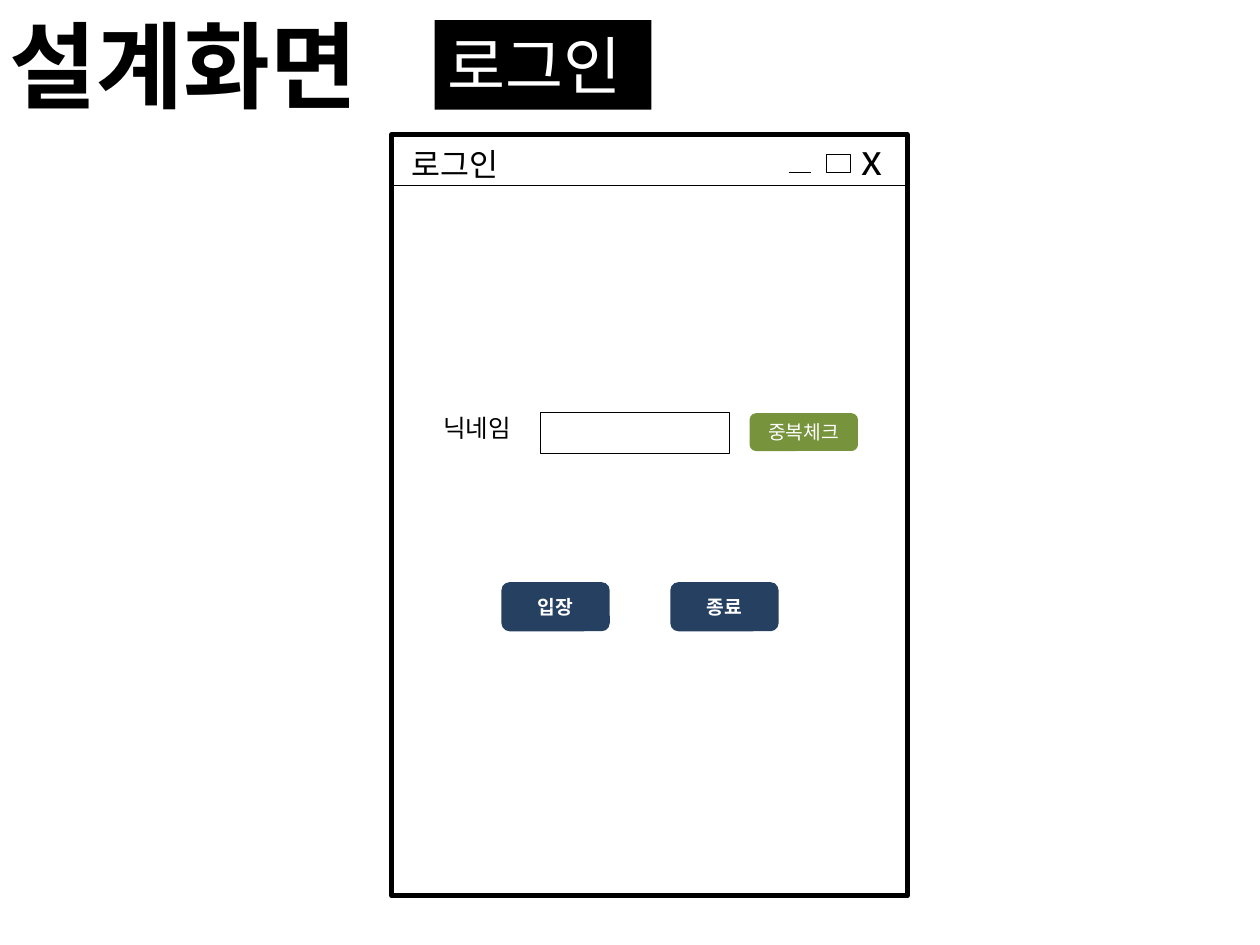
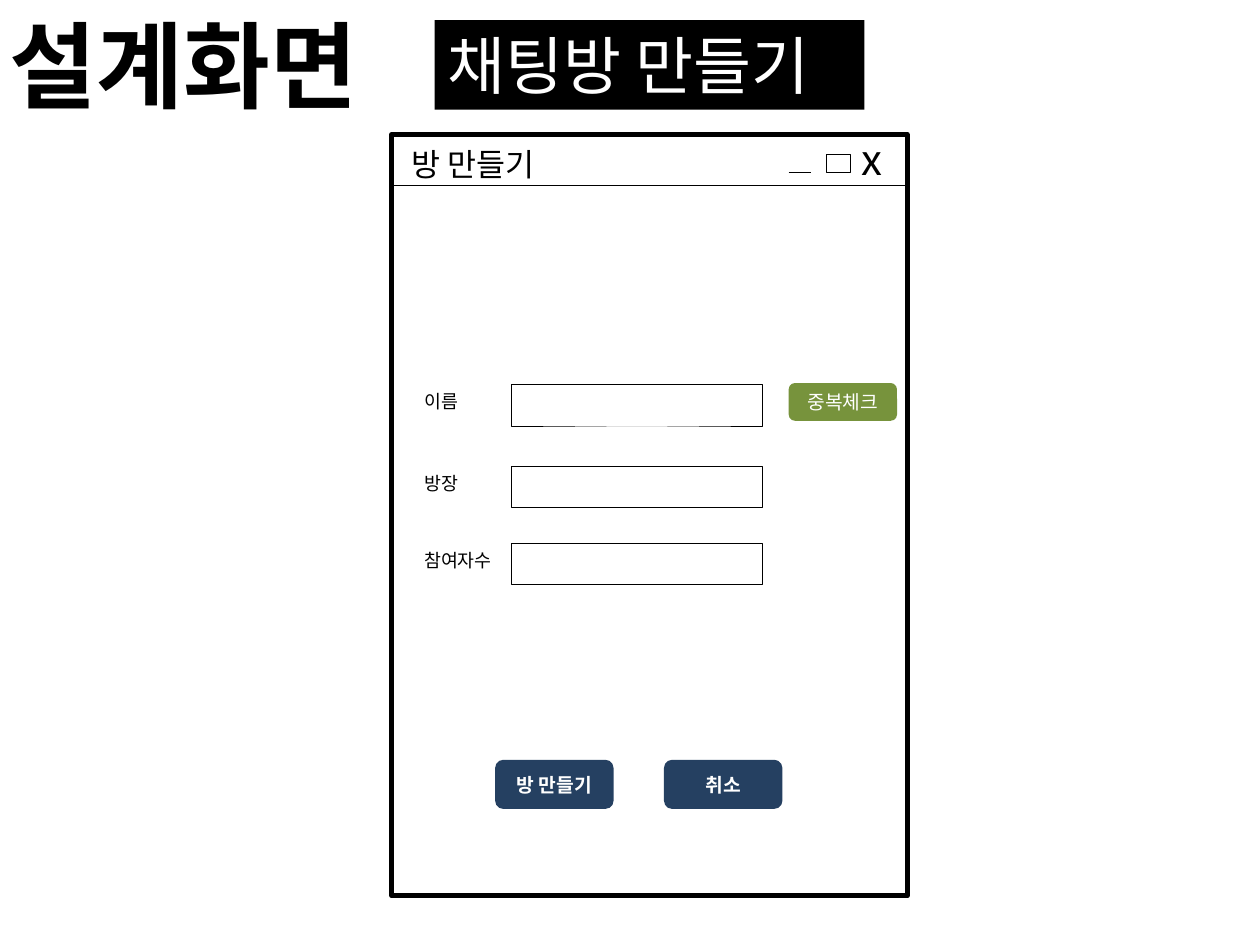
import pptx
import pptx.util
import pptx.dml.color
import pptx.enum.shapes
import pptx.enum.text
import pptx.oxml

Inches = pptx.util.Inches
Pt = pptx.util.Pt
KIND = pptx.enum.shapes.MSO_SHAPE
ALIGN = pptx.enum.text.PP_ALIGN
ANCHOR = pptx.enum.text.MSO_ANCHOR
FONT = "Noto Sans CJK KR"
COLORS = {"ink": "000000", "paper": "FFFFFF", "check": "77933C", "button": "254061"}


def color(name):
    return pptx.dml.color.RGBColor.from_string(COLORS[name])


def put(slide, text, box, kind=None, fill=None, line=None, size=11, ink="ink",
        bold=False, center=False, wrap=False):
    """Add a text box, or a preset shape when kind is given."""
    place = [Inches(n) for n in box]
    if kind is None:
        shape = slide.shapes.add_textbox(*place)
    else:
        shape = slide.shapes.add_shape(kind, *place)
        shape.shadow.inherit = False
        if fill:
            shape.fill.solid()
            shape.fill.fore_color.rgb = color(fill)
        else:
            shape.fill.background()
        if line:
            shape.line.color.rgb = color("ink")
            shape.line.width = Pt(line)
        else:
            shape.line.fill.background()
    if text:
        frame = shape.text_frame
        frame.word_wrap = wrap
        frame.vertical_anchor = ANCHOR.MIDDLE if center else ANCHOR.TOP
        par = frame.paragraphs[0]
        par.alignment = ALIGN.CENTER if center else ALIGN.LEFT
        run = par.add_run()
        run.text = text
        run.font.size = Pt(size)
        run.font.bold = bold
        run.font.color.rgb = color(ink)
        run.font.name = FONT
        east = pptx.oxml.parse_xml(
            '<a:ea xmlns:a="http://schemas.openxmlformats.org/drawingml/2006/main"'
            f' typeface="{FONT}"/>')
        run.font._element.append(east)


# Fields are (label, top); label and entry columns are (left, width).
SCREENS = [
    {"tag": "로그인", "tag_w": 1.72, "title": "로그인", "title_w": 0.96,
     "fields": [("닉네임", 3.27)], "label": (3.42, 0.79), "label_size": 14,
     "label_dy": -0.04, "entry": (4.29, 1.5), "check": (5.95, 3.28),
     "buttons": ["입장", "종료"], "button": (3.98, 4.62, 0.86)},
    {"tag": "채팅방 만들기", "tag_w": 3.41, "title": "방 만들기", "title_w": 1.3,
     "fields": [("이름", 3.05), ("방장", 3.7), ("참여자수", 4.31)],
     "label": (3.27, 0.82), "label_size": 10.5,
     "label_dy": 0, "entry": (4.06, 1.99), "check": (6.26, 3.04),
     "buttons": ["방 만들기", "취소"], "button": (3.93, 6.03, 0.94)},
]
STEP = 1.34

deck = pptx.Presentation()
deck.slide_width = Inches(10)
deck.slide_height = Inches(7.5)

for screen in SCREENS:
    slide = deck.slides.add_slide(deck.slide_layouts[6])

    # Window frame, title bar and window controls
    put(slide, "", (3.11, 1.07, 4.09, 6.04), kind=KIND.RECTANGLE, line=3)
    put(slide, "x", (6.74, 1.13, 0.36, 0.26), size=24, center=True)
    put(slide, "", (6.56, 1.22, 0.19, 0.15), kind=KIND.RECTANGLE, line=0.25)
    for left, right, y in [(6.26, 6.44, 1.37), (3.11, 7.2, 1.47)]:
        rule = slide.shapes.add_connector(
            pptx.enum.shapes.MSO_CONNECTOR.STRAIGHT,
            Inches(left), Inches(y), Inches(right), Inches(y))
        rule.line.color.rgb = color("ink")
        rule.line.width = Pt(0.75)
        rule._element.spPr.append(pptx.oxml.parse_xml(
            '<a:effectLst xmlns:a="http://schemas.openxmlformats.org/drawingml/2006/main"/>'))
    put(slide, screen["title"], (3.17, 1.1, screen["title_w"], 0.37), size=18)

    # Form
    left, width = screen["label"]
    start, span = screen["entry"]
    for label, top in screen["fields"]:
        put(slide, "", (start, top, span, 0.33), kind=KIND.RECTANGLE, line=0.25)
        put(slide, label, (left, top + screen["label_dy"], width, 0.3),
            size=screen["label_size"])
    put(slide, "중복체크", (*screen["check"], 0.86, 0.3), kind=KIND.ROUNDED_RECTANGLE,
        fill="check", ink="paper", center=True, wrap=True)
    left, top, width = screen["button"]
    for i, name in enumerate(screen["buttons"]):
        put(slide, name, (left + i * STEP, top, width, 0.39),
            kind=KIND.ROUNDED_RECTANGLE, fill="button", ink="paper", bold=True,
            center=True, wrap=True)

    # Heading
    put(slide, screen["tag"], (3.45, 0.16, screen["tag_w"], 0.71),
        kind=KIND.RECTANGLE, fill="ink", ink="paper", size=36)
    put(slide, "설계화면", (-0.02, 0.01, 3.23, 1.01), size=54, bold=True)

deck.save("out.pptx")
